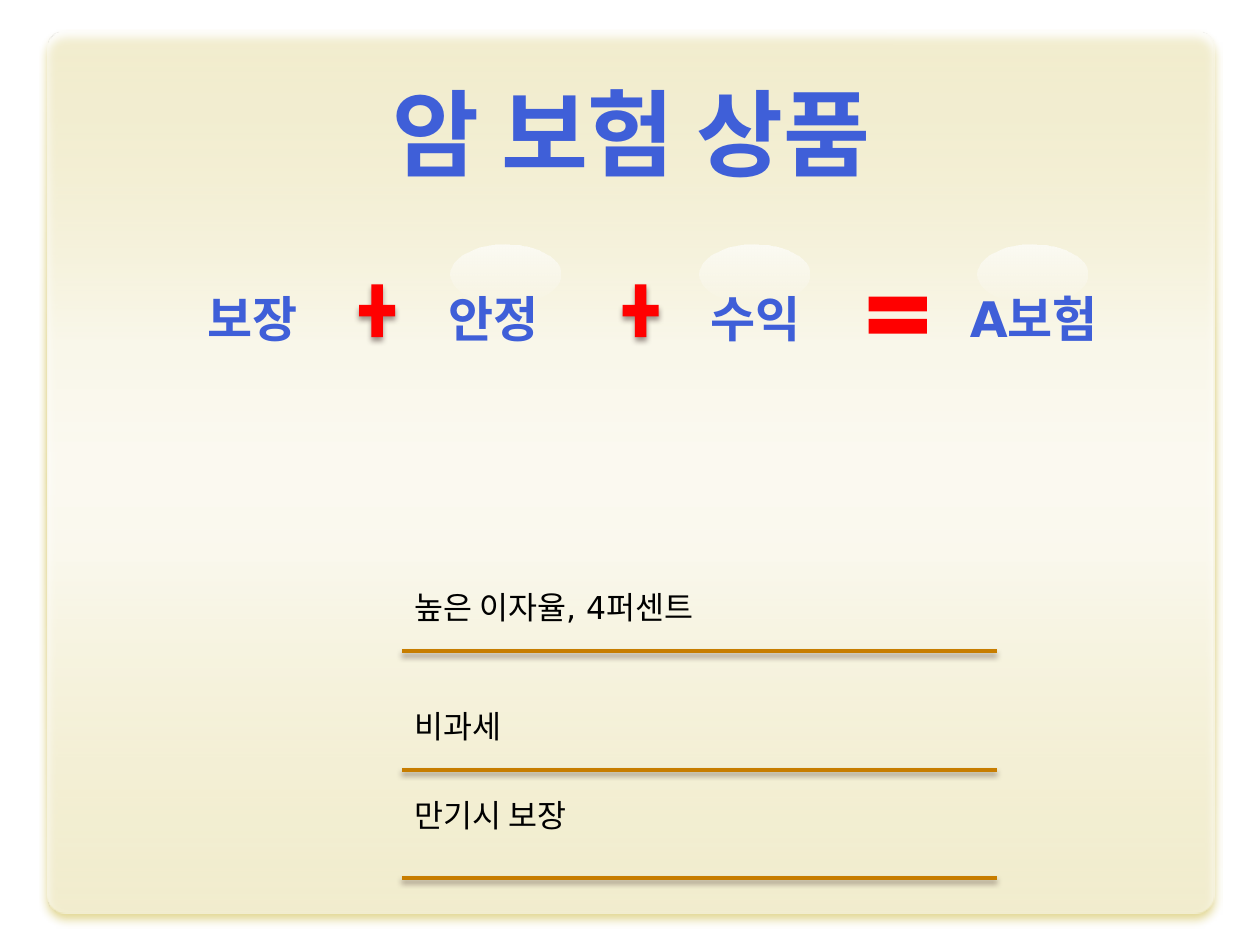
from typing import NamedTuple

from lxml.etree import SubElement
from pptx import Presentation
from pptx.dml.color import RGBColor
from pptx.enum.shapes import MSO_CONNECTOR, MSO_SHAPE
from pptx.enum.text import MSO_ANCHOR, MSO_AUTO_SIZE, PP_ALIGN
from pptx.oxml.ns import qn
from pptx.util import Cm, Pt

HUES = {
    "blue": "3F5FD8",
    "red": "FF0000",
    "gold": "C77D00",
    "black": "000000",
    "white": "FFFFFF",
    "sand": "C5AF25",
    "shade": "1A0000",
}


class Box(NamedTuple):
    left: float
    top: float
    wide: float
    high: float


class Glow(NamedTuple):
    hue: str
    alpha: int
    blur: float
    dist: float


class Word(NamedTuple):
    text: str
    left: float
    wide: float


class Item(NamedTuple):
    text: str
    top: float
    wide: float
    rule: float


SOFT = Glow("shade", 40, 3.1, 2)
HALO = Glow("sand", 90, 5, 3.6)
PANEL = [(0, 50), (35, 87), (50, 92), (60, 89), (100, 55)]
GLOSS = [(0, 70), (100, 0)]
WORDS = [
    Word("보장", 3.94, 2.51),
    Word("안정", 8.79, 2.51),
    Word("수익", 14.07, 2.51),
    Word("A보험", 19.3, 3.2),
]
ITEMS = [
    Item("높은 이자율, 4퍼센트", 11.73, 6.58, 13.13),
    Item("비과세", 14.12, 2.44, 15.52),
    Item("만기시 보장", 15.93, 3.94, 17.7),
]
LEFT, RIGHT = 8.1, 20.09


def tint(node, hue: str, alpha: int) -> None:
    color = SubElement(node, qn("a:srgbClr"), val=HUES[hue])
    SubElement(color, qn("a:alpha"), val=str(alpha * 1000))


def cast(shape, glow: Glow) -> None:
    props = shape._element.spPr
    for old in props.findall(qn("a:effectLst")):
        props.remove(old)
    node = SubElement(SubElement(props, qn("a:effectLst")), qn("a:outerShdw"),
                      blurRad=str(Pt(glow.blur)), dist=str(Pt(glow.dist)),
                      dir="5400000", algn="ctr", rotWithShape="0")
    tint(node, glow.hue, glow.alpha)


def fade(shape, stops: list[tuple[int, int]]) -> None:
    shape.fill.gradient()
    grad = shape._element.spPr.find(qn("a:gradFill"))
    for child in list(grad):
        grad.remove(child)
    group = SubElement(grad, qn("a:gsLst"))
    for place, alpha in stops:
        tint(SubElement(group, qn("a:gs"), pos=str(place * 1000)), "white", alpha)
    SubElement(grad, qn("a:lin"), ang="5400000", scaled="0")


def form(slide, kind: MSO_SHAPE, box: Box):
    shape = slide.shapes.add_shape(kind, *map(Cm, box))
    shape.shadow.inherit = False
    shape.line.fill.background()
    return shape


def sign(slide, kind: MSO_SHAPE, box: Box):
    shape = form(slide, kind, box)
    shape.fill.solid()
    shape.fill.fore_color.rgb = RGBColor.from_string(HUES["red"])
    return shape


def write(slide, text: str, box: Box, *, size: int, hue: str, font: str = "DejaVu Sans",
          bold: bool = False, align: PP_ALIGN = PP_ALIGN.LEFT,
          anchor: MSO_ANCHOR = MSO_ANCHOR.TOP, wrap: bool = False) -> None:
    frame = slide.shapes.add_textbox(*map(Cm, box)).text_frame
    frame.word_wrap = wrap
    frame.auto_size = MSO_AUTO_SIZE.NONE if wrap else MSO_AUTO_SIZE.SHAPE_TO_FIT_TEXT
    frame.vertical_anchor = anchor
    para = frame.paragraphs[0]
    para.alignment = align
    run = para.add_run()
    run.text = text
    run.font.size = Pt(size)
    run.font.name = font
    run.font.bold = bold
    run.font.color.rgb = RGBColor.from_string(HUES[hue])


def rule(slide, top: float) -> None:
    line = slide.shapes.add_connector(
        MSO_CONNECTOR.STRAIGHT, Cm(LEFT), Cm(top), Cm(RIGHT), Cm(top))
    line.line.color.rgb = RGBColor.from_string(HUES["gold"])
    line.line.width = Pt(2.21)
    cast(line, SOFT)


def main() -> None:
    deck = Presentation()
    deck.slide_width, deck.slide_height = Cm(25.4), Cm(19.05)
    slide = deck.slides.add_slide(deck.slide_layouts[6])

    panel = form(slide, MSO_SHAPE.ROUNDED_RECTANGLE, Box(0.97, 0.64, 23.5, 17.78))
    panel.adjustments[0] = 0.022
    fade(panel, PANEL)
    cast(panel, HALO)

    write(slide, "암 보험 상품", Box(1.3, 0.74, 22.86, 3.18), size=54, hue="blue",
          font="Arial", bold=True, align=PP_ALIGN.CENTER,
          anchor=MSO_ANCHOR.BOTTOM, wrap=True)

    for left in (9.09, 14.1, 19.71):
        fade(form(slide, MSO_SHAPE.OVAL, Box(left, 4.93, 2.21, 1.19)), GLOSS)
    for word in WORDS:
        write(slide, word.text, Box(word.left, 5.69, word.wide, 1.45),
              size=28, hue="blue", bold=True)
    for left in (7.11, 12.42):
        cast(sign(slide, MSO_SHAPE.MATH_PLUS, Box(left, 5.54, 0.99, 1.45)), SOFT)
    sign(slide, MSO_SHAPE.MATH_EQUAL, Box(17.3, 5.72, 1.6, 1.27))

    for item in ITEMS:
        write(slide, item.text, Box(LEFT, item.top, item.wide, 1.02), size=18, hue="black")
        rule(slide, item.rule)

    deck.save("out.pptx")


if __name__ == "__main__":
    main()
